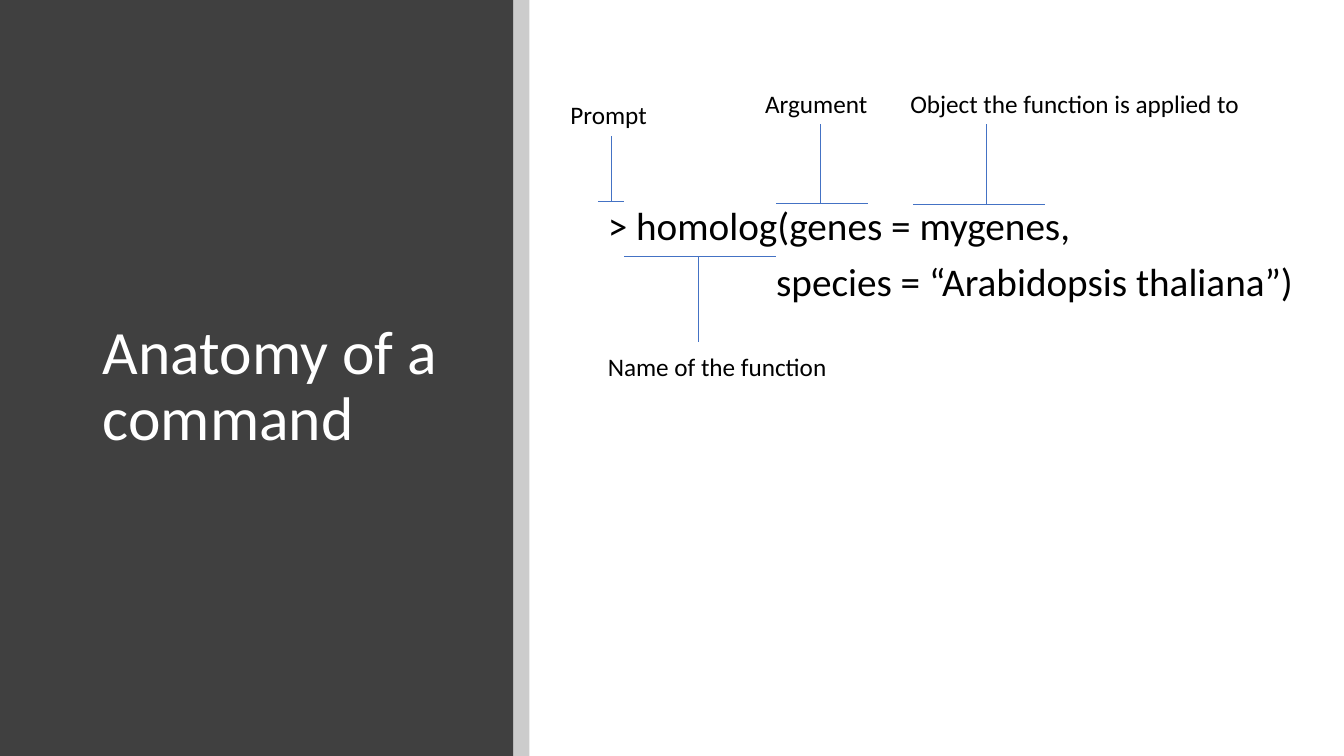
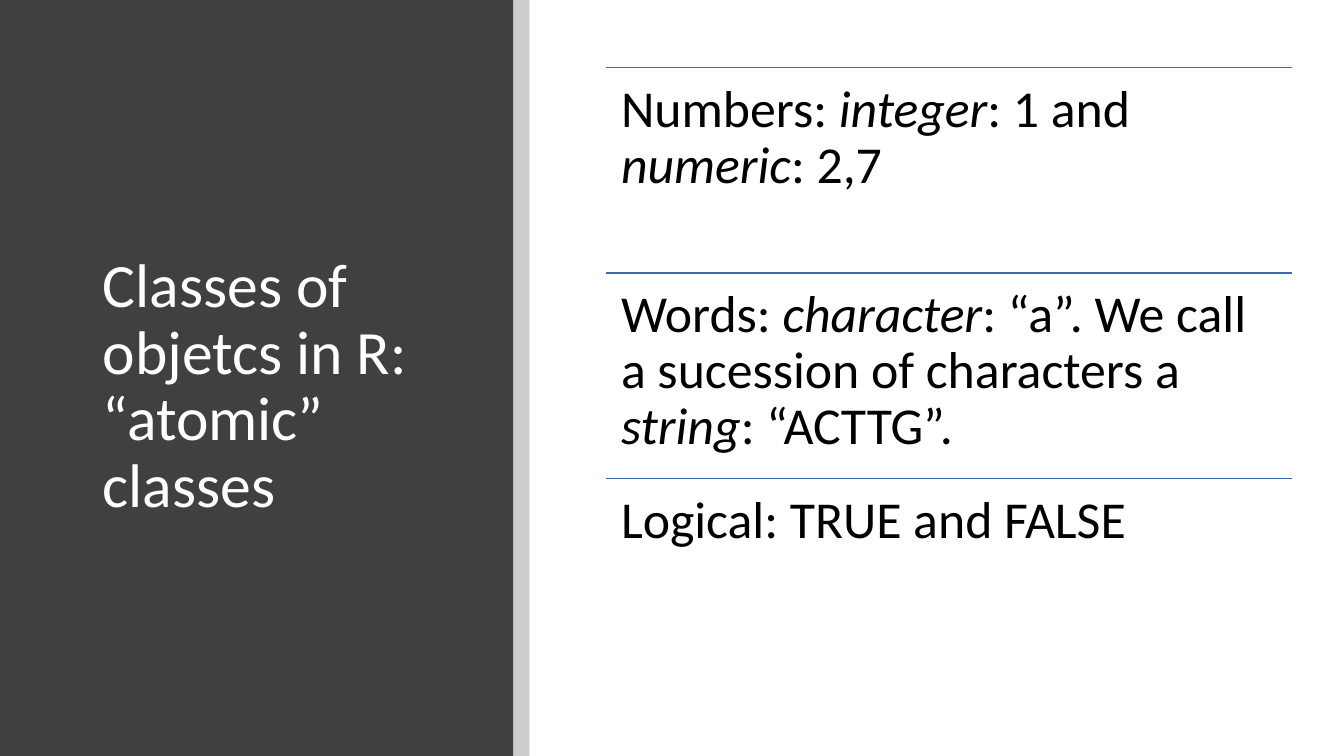
from dataclasses import dataclass

from lxml import etree
from pptx import Presentation
from pptx.dml.color import RGBColor
from pptx.enum.shapes import MSO_CONNECTOR, MSO_SHAPE
from pptx.enum.text import MSO_ANCHOR, MSO_AUTO_SIZE, PP_ALIGN
from pptx.oxml.ns import qn
from pptx.util import Emu, Pt

STRAIGHT = MSO_CONNECTOR.STRAIGHT
RECTANGLE = MSO_SHAPE.RECTANGLE
MIDDLE = MSO_ANCHOR.MIDDLE
LEFT = PP_ALIGN.LEFT
NO_AUTOFIT = MSO_AUTO_SIZE.NONE
GROW = MSO_AUTO_SIZE.SHAPE_TO_FIT_TEXT

EMU_PER_PX = 9144
WIDTH, HEIGHT = 1333, 750
TITLE_ONLY = 5


@dataclass(frozen=True)
class Theme:
    font: str = "Calibri"
    panel: str = "404040"
    ink: str = "000000"
    title_ink: str = "FFFFFF"
    callout_line: str = "4472C4"
    divider_line: str = "3E67B2"
    title_size: int = 44
    list_size: int = 37
    code_size: int = 28
    label_size: int = 18
    callout_weight: float = 0.5
    divider_weight: float = 1
    line_spacing: float = 0.9
    stripe_opacity: int = 20


def px(length):
    return Emu(length * EMU_PER_PX)


class Deck:
    """Holds the style and the slide being drawn."""

    def __init__(self, theme):
        self.theme = theme
        self.presentation = Presentation()
        self.presentation.slide_width = px(WIDTH)
        self.presentation.slide_height = px(HEIGHT)
        self.slide = None

    def add_slide(self, title):
        layout = self.presentation.slide_layouts[TITLE_ONLY]
        self.slide = self.presentation.slides.add_slide(layout)
        self.band(0, 509, self.theme.panel)
        self.band(509, 16, self.theme.ink, self.theme.stripe_opacity)
        self.title(title)

    def band(self, left, width, color, opacity=100):
        shape = self.slide.shapes.add_shape(RECTANGLE, px(left), 0, px(width), px(HEIGHT))
        shape.shadow.inherit = False
        shape.line.fill.background()
        shape.fill.solid()
        shape.fill.fore_color.rgb = RGBColor.from_string(color)
        if opacity < 100:
            fill_color = shape._element.spPr.find(".//" + qn("a:srgbClr"))
            etree.SubElement(fill_color, qn("a:alpha"), val=str(opacity * 1000))

    def title(self, text):
        shape = self.slide.shapes.title
        self.slide.shapes._spTree.append(shape._element)
        shape.left, shape.top, shape.width, shape.height = map(px, (92, 89, 365, 591))
        frame = shape.text_frame
        frame.text = text
        frame.word_wrap = True
        frame.auto_size = NO_AUTOFIT
        frame.vertical_anchor = MIDDLE
        paragraph = frame.paragraphs[0]
        paragraph.line_spacing = self.theme.line_spacing
        self.style(paragraph, self.theme.title_size, self.theme.title_ink)

    def style(self, paragraph, size, color):
        paragraph.alignment = LEFT
        paragraph.font.name = self.theme.font
        paragraph.font.size = Pt(size)
        paragraph.font.color.rgb = RGBColor.from_string(color)

    def text_frame(self, left, top, width, height, wrap=True):
        frame = self.slide.shapes.add_textbox(*map(px, (left, top, width, height))).text_frame
        frame.word_wrap = wrap
        return frame

    def label(self, text, left, top, width):
        frame = self.text_frame(left, top, width, 40, wrap=False)
        frame.auto_size = GROW
        frame.text = text
        self.style(frame.paragraphs[0], self.theme.label_size, self.theme.ink)

    def line(self, start, end, color, weight):
        connector = self.slide.shapes.add_connector(STRAIGHT, *map(px, (*start, *end)))
        connector.line.color.rgb = RGBColor.from_string(color)
        connector.line.width = Pt(weight)
        etree.SubElement(connector._element.spPr, qn("a:effectLst"))

    def callout(self, bar_left, bar_right, bar_y, stem_x, stem_end):
        style = self.theme.callout_line, self.theme.callout_weight
        self.line((bar_left, bar_y), (bar_right, bar_y), *style)
        self.line((stem_x, bar_y), (stem_x, stem_end), *style)

    def code(self, lines, left, top, width, height):
        frame = self.text_frame(left, top, width, height)
        for index, (text, indent) in enumerate(lines):
            paragraph = frame.add_paragraph() if index else frame.paragraphs[0]
            paragraph.text = text
            paragraph.line_spacing = self.theme.line_spacing
            paragraph.space_before = Pt(10)
            paragraph._p.get_or_add_pPr().set("marL", str(px(indent)))
            self.style(paragraph, self.theme.code_size, self.theme.ink)

    def list_row(self, segments, left, top, width, height):
        """Draw a ruled row whose segments alternate between plain and italic."""
        self.line((left, top), (left + width, top),
                  self.theme.divider_line, self.theme.divider_weight)
        frame = self.text_frame(left, top, width, height)
        frame.margin_left = frame.margin_right = px(15)
        frame.margin_top = frame.margin_bottom = px(15)
        paragraph = frame.paragraphs[0]
        paragraph.line_spacing = self.theme.line_spacing
        self.style(paragraph, self.theme.list_size, self.theme.ink)
        for index, text in enumerate(segments):
            run = paragraph.add_run()
            run.text = text
            if index % 2:
                run.font.italic = True


CODE_LINES = [
    ("> homolog(genes = mygenes,", 0),
    ("species = “Arabidopsis thaliana”)", 167),
]
CALLOUTS = [
    (("Prompt", 556, 94, 97), (593, 619, 200, 606, 135)),
    (("Name of the function", 593, 344, 240), (619, 770, 254, 693, 339)),
    (("Argument", 749, 83, 123), (770, 861, 202, 814, 123)),
    (("Object the function is applied to", 893, 83, 350), (906, 1036, 203, 978, 123)),
]
CLASSES = [
    ("Numbers: ", "integer", ": 1 and ", "numeric", ": 2,7"),
    ("Words: ", "character", ": “a”. We call a sucession of characters a ",
     "string", ": “ACTTG”."),
    ("Logical: TRUE and FALSE",),
]
ROW_HEIGHT = 204


def main():
    deck = Deck(Theme())

    deck.add_slide("Anatomy of a command")
    deck.code(CODE_LINES, 593, 200, 725, 476)
    for label, marker in CALLOUTS:
        deck.callout(*marker)
        deck.label(*label)

    deck.add_slide("Classes of objetcs in R: “atomic” classes")
    for index, segments in enumerate(CLASSES):
        deck.list_row(segments, 601, 67 + index * ROW_HEIGHT, 680, ROW_HEIGHT)

    deck.presentation.save("out.pptx")


if __name__ == "__main__":
    main()
